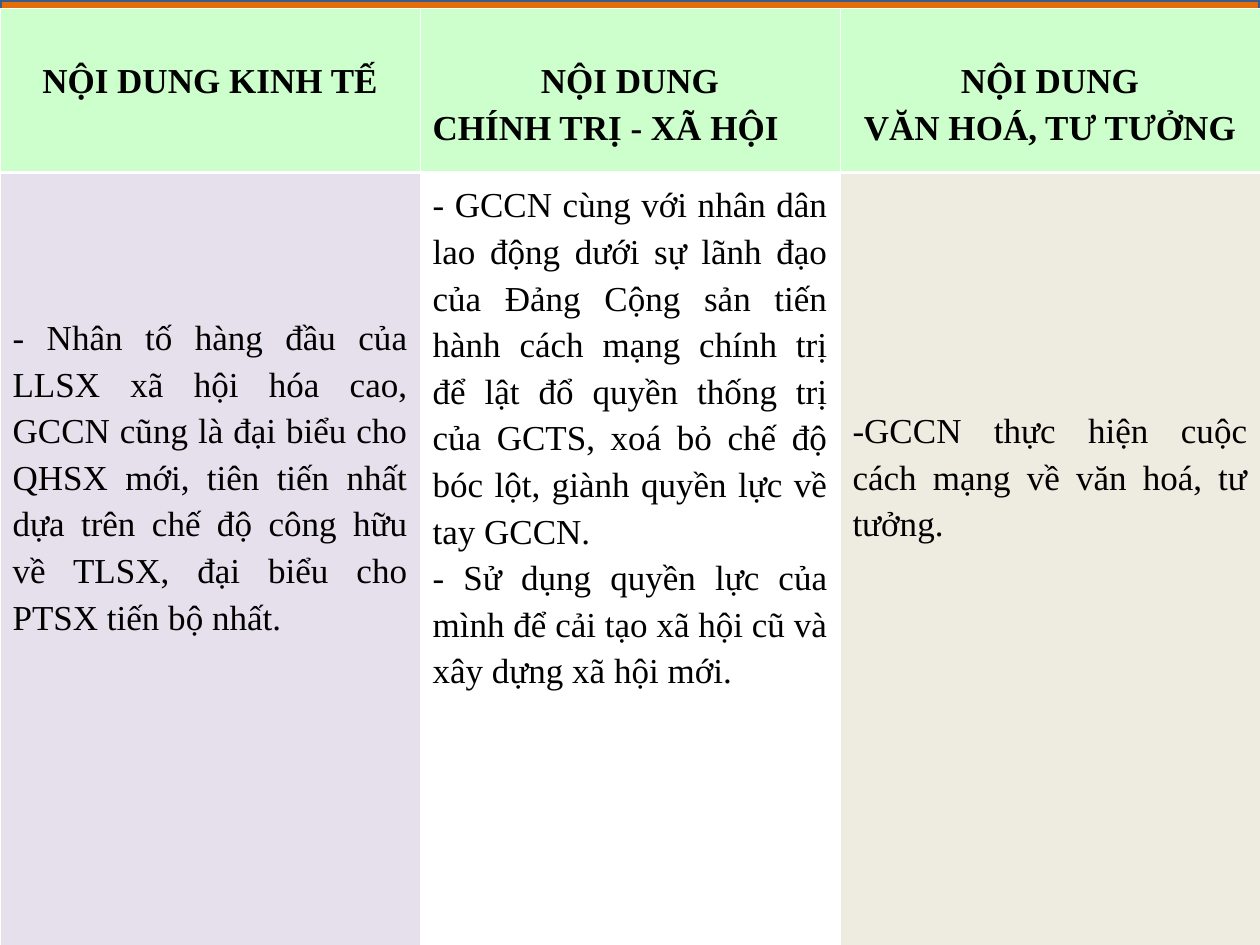
from lxml import etree
from pptx import Presentation
from pptx.dml.color import RGBColor
from pptx.enum import shapes, text
from pptx.oxml import ns
from pptx.util import Pt


def color(hex_value):
    return RGBColor.from_string(hex_value)


def add_border(cell, side, width):
    """Give one side (L, R, T or B) of a cell a white line."""
    line = etree.SubElement(cell._tc.get_or_add_tcPr(), ns.qn(f"a:ln{side}"), w=str(Pt(width)))
    fill = etree.SubElement(line, ns.qn("a:solidFill"))
    etree.SubElement(fill, ns.qn("a:srgbClr"), val="FFFFFF")


CENTER = text.PP_ALIGN.CENTER
JUSTIFY = text.PP_ALIGN.JUSTIFY
HEADER_FILL = "CCFFCC"
HEADER_TOP, ECONOMY_TOP, POLITICS_TOP, CULTURE_TOP = 26.2, 79.4, 3.6, 132.6

# Each cell: fill, top margin, paragraphs with their alignment
rows = [
    [
        (HEADER_FILL, HEADER_TOP, [("NỘI DUNG KINH TẾ", CENTER)]),
        (HEADER_FILL, HEADER_TOP, [("NỘI DUNG", CENTER), ("CHÍNH TRỊ - XÃ HỘI", JUSTIFY)]),
        (HEADER_FILL, HEADER_TOP, [("NỘI DUNG", CENTER), ("VĂN HOÁ, TƯ TƯỞNG", CENTER)]),
    ],
    [
        ("E6E0EC", ECONOMY_TOP, [
            ("- Nhân tố hàng đầu của LLSX xã hội hóa cao, GCCN cũng là đại biểu cho "
             "QHSX mới, tiên tiến nhất dựa trên chế độ công hữu về TLSX, đại biểu cho "
             "PTSX tiến bộ nhất.", JUSTIFY)]),
        ("FFFFFF", POLITICS_TOP, [
            ("- GCCN cùng với nhân dân lao động dưới sự lãnh đạo của Đảng Cộng sản tiến "
             "hành cách mạng chính trị để lật đổ quyền thống trị của GCTS, xoá bỏ chế độ "
             "bóc lột, giành quyền lực về tay GCCN.", JUSTIFY),
            ("- Sử dụng quyền lực của mình để cải tạo xã hội cũ và xây dựng xã hội mới.",
             JUSTIFY)]),
        ("EEECE1", CULTURE_TOP, [
            ("-GCCN thực hiện cuộc cách mạng về văn hoá, tư tưởng.", JUSTIFY)]),
    ],
]

presentation = Presentation()
presentation.slide_width, presentation.slide_height = Pt(720), Pt(540)
slide = presentation.slides.add_slide(presentation.slide_layouts[6])

top_bar = slide.shapes.add_shape(shapes.MSO_SHAPE.RECTANGLE, 0, 0, Pt(720), Pt(77.76))
top_bar.shadow.inherit = False
top_bar.fill.solid()
top_bar.fill.fore_color.rgb = color("E46C0A")
top_bar.line.color.rgb = color("385D8A")
top_bar.line.width = Pt(2)

row_heights = [93.6, 447.84]
table = slide.shapes.add_table(2, 3, 0, Pt(5.04), Pt(720), Pt(sum(row_heights))).table
for column in table.columns:
    column.width = Pt(240)

for row_index, row in enumerate(rows):
    table.rows[row_index].height = Pt(row_heights[row_index])
    is_header = row_index == 0
    border_widths = {"L": 0.45, "R": 0.45,
                     "T": 0.45 if is_header else 1.47,
                     "B": 1.47 if is_header else 0.45}
    for column_index, (fill, margin_top, paragraphs) in enumerate(row):
        cell = table.cell(row_index, column_index)
        for side, width in border_widths.items():
            add_border(cell, side, width)
        cell.fill.solid()
        cell.fill.fore_color.rgb = color(fill)
        cell.margin_left = cell.margin_right = Pt(7.2)
        cell.margin_top, cell.margin_bottom = Pt(margin_top), Pt(3.6)
        frame = cell.text_frame
        for index, (wording, alignment) in enumerate(paragraphs):
            paragraph = frame.add_paragraph() if index else frame.paragraphs[0]
            paragraph.alignment = alignment
            paragraph.line_spacing = 1.2
            run = paragraph.add_run()
            run.text = wording
            run.font.name = "Times New Roman"
            run.font.size = Pt(20)
            run.font.bold = is_header
            run.font.color.rgb = color("000000")

presentation.save("out.pptx")
